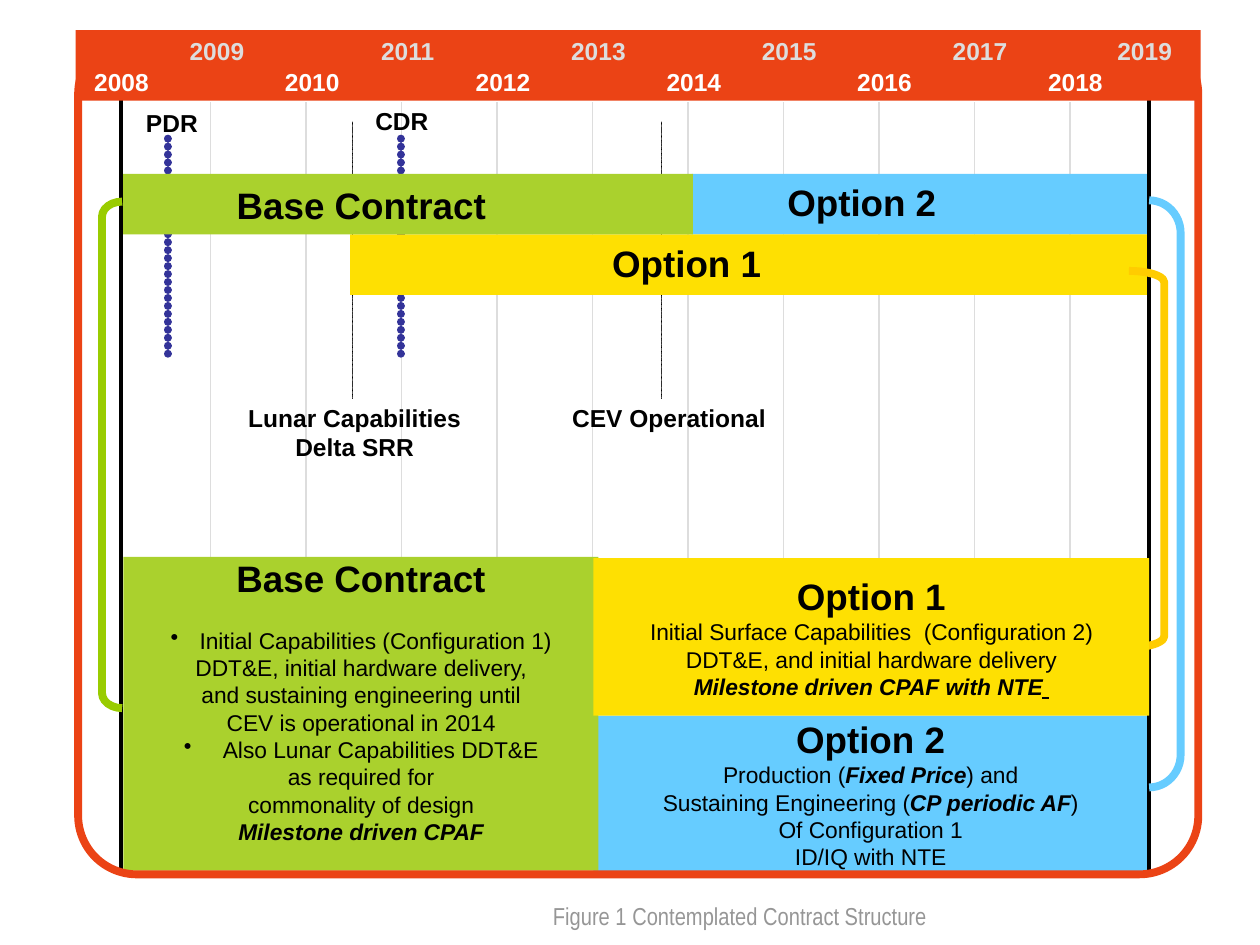
from dataclasses import dataclass

from lxml.etree import SubElement
from pptx import Presentation
from pptx.dml.color import RGBColor
from pptx.enum.shapes import MSO_CONNECTOR, MSO_SHAPE
from pptx.enum.text import MSO_ANCHOR, PP_ALIGN
from pptx.oxml.ns import qn
from pptx.util import Inches, Pt

COLORS = {
    "red": "EB4315", "green": "AAD12D", "yellow": "FEE002", "blue": "66CCFF",
    "green_link": "99CC00", "yellow_link": "FFCC00", "review": "333399",
    "grid": "DDDDDD", "caption": "969696", "black": "000000", "white": "FFFFFF",
}
HEADING = 21
DETAIL = 13
LABEL = 14


@dataclass
class Run:
    text: str
    bold: bool = False
    italic: bool = False
    underline: bool = False


@dataclass
class Line:
    runs: list[Run]
    size: float = DETAIL
    bullet_indent: float = 0
    space_before: float = 0


@dataclass
class Block:
    left: float
    top: float
    width: float
    height: float
    color: str
    lines: list[Line]
    bottom_inset: float = 0.05


@dataclass
class Label:
    text: str
    left: float
    top: float
    width: float
    height: float = 0.34
    size: float = LABEL
    align: PP_ALIGN = PP_ALIGN.LEFT


@dataclass
class Bracket:
    preset: MSO_SHAPE
    left: float
    top: float
    width: float
    height: float
    corner: float
    color: str


def rgb(name: str) -> RGBColor:
    return RGBColor.from_string(COLORS[name])


def plain(text: str, **options) -> Line:
    return Line([Run(text)], **options)


def heading(text: str) -> Line:
    return Line([Run(text, bold=True)], size=HEADING)


def strong(text: str) -> Run:
    return Run(text, bold=True, italic=True)


def write(frame, lines: list[Line], *, color="black", font="Arial", align=PP_ALIGN.CENTER,
          anchor=MSO_ANCHOR.TOP, wrap=False, shadow=False) -> None:
    frame.word_wrap = wrap
    frame.vertical_anchor = anchor
    for index, line in enumerate(lines):
        paragraph = frame.paragraphs[0] if index == 0 else frame.add_paragraph()
        paragraph.alignment = align
        if line.space_before:
            paragraph.space_before = Pt(line.space_before)
        if line.bullet_indent:
            add_bullet(paragraph, line.bullet_indent)
        for part in line.runs:
            run = paragraph.add_run()
            run.text = part.text
            run.font.size = Pt(line.size)
            run.font.bold = part.bold
            run.font.italic = part.italic
            if part.underline:
                run.font.underline = True
            run.font.color.rgb = rgb(color)
            if shadow:
                add_text_shadow(run)
            run.font.name = font


def add_bullet(paragraph, indent: float) -> None:
    properties = paragraph._p.get_or_add_pPr()
    properties.set("marL", str(Inches(indent)))
    properties.set("indent", str(-Inches(indent)))
    SubElement(properties, qn("a:buChar"), char="•")


def add_text_shadow(run) -> None:
    effects = SubElement(run.font._element, qn("a:effectLst"))
    shadow = SubElement(effects, qn("a:outerShdw"), dist="25400", dir="2700000")
    SubElement(shadow, qn("a:srgbClr"), val=COLORS["black"])


def add_text(slide, label: Label, **options) -> None:
    box = slide.shapes.add_textbox(*map(Inches, (label.left, label.top, label.width, label.height)))
    bold = options.pop("bold", True)
    write(box.text_frame, [Line([Run(label.text, bold=bold)], size=label.size)],
          align=label.align, **options)


def add_figure(slide, preset, left, top, width, height, fill=None, line=None):
    shape = slide.shapes.add_shape(preset, *map(Inches, (left, top, width, height)))
    shape.shadow.inherit = False
    if fill:
        shape.fill.solid()
        shape.fill.fore_color.rgb = rgb(fill)
    else:
        shape.fill.background()
    if line:
        shape.line.color.rgb = rgb(line)
        shape.line.width = Pt(4.5)
    else:
        shape.line.fill.background()
    return shape


def add_block(slide, block: Block) -> None:
    shape = add_figure(slide, MSO_SHAPE.RECTANGLE, block.left, block.top,
                       block.width, block.height, fill=block.color)
    shape.text_frame.margin_bottom = Inches(block.bottom_inset)
    write(shape.text_frame, block.lines, anchor=MSO_ANCHOR.MIDDLE)


def add_vertical(slide, x: float, top: float, bottom: float, color: str, width: float,
                 dotted=False) -> None:
    line = slide.shapes.add_connector(MSO_CONNECTOR.STRAIGHT, *map(Inches, (x, top, x, bottom)))
    line.line.color.rgb = rgb(color)
    line.line.width = Pt(width)
    if dotted:
        outline = line.line._get_or_add_ln()
        outline.set("cap", "rnd")
        dashes = SubElement(outline, qn("a:custDash"))
        SubElement(dashes, qn("a:ds"), d="1000", sp="100000")
    SubElement(line._element.spPr, qn("a:effectLst"))


BARS = [
    (5.49, 1.38, 3.62, 0.48, "blue"),
    (2.78, 1.86, 6.33, 0.48, "yellow"),
    (0.95, 1.38, 4.55, 0.48, "green"),
]
LABELS = [
    Label("CEV Operational", 4.44, 3.15, 1.74, align=PP_ALIGN.CENTER),
    Label("CDR", 2.88, 0.79, 0.62),
    Label("PDR", 1.06, 0.81, 0.61),
    Label("Option 2", 6.15, 1.38, 1.38, 0.45, HEADING),
    Label("Option 1", 4.76, 1.86, 1.38, 0.45, HEADING),
    Label("Base Contract", 1.78, 1.4, 2.18, 0.45, HEADING),
]
BRACKETS = [
    Bracket(MSO_SHAPE.LEFT_BRACKET, 0.81, 1.6, 0.16, 4.02, 0.12, "green_link"),
    Bracket(MSO_SHAPE.RIGHT_BRACKET, 9.12, 1.59, 0.25, 4.66, 0.26, "blue_link"[:4]),
    Bracket(MSO_SHAPE.RIGHT_BRACKET, 8.96, 2.15, 0.28, 2.99, 0.09, "yellow_link"),
]
OPTION_2 = Block(4.71, 5.68, 4.4, 1.24, "blue", [
    heading("Option 2"),
    Line([Run("Production ("), strong("Fixed Price"), Run(") and")]),
    Line([Run("Sustaining Engineering ("), strong("CP periodic AF"), Run(")")]),
    plain("Of Configuration 1"),
    plain("ID/IQ with NTE"),
])
BASE = Block(0.98, 4.42, 3.77, 2.49, "green", [
    heading("Base Contract"),
    plain("Initial Capabilities (Configuration 1)", bullet_indent=0.23, space_before=15),
    plain("DDT&E, initial hardware delivery,"),
    plain("and sustaining engineering until"),
    plain("CEV is operational in 2014"),
    plain("Also Lunar Capabilities DDT&E", bullet_indent=0.31),
    plain("as required for"),
    plain("commonality of design"),
    Line([strong("Milestone driven CPAF")]),
], bottom_inset=0.26)
OPTION_1 = Block(4.71, 4.43, 4.41, 1.25, "yellow", [
    heading("Option 1"),
    plain("Initial Surface Capabilities  (Configuration 2)"),
    plain("DDT&E, and initial hardware delivery"),
    Line([strong("Milestone driven CPAF with NTE"), Run(" ", underline=True)]),
])


def main() -> None:
    deck = Presentation()
    deck.slide_width, deck.slide_height = Inches(10), Inches(7.5)
    slide = deck.slides.add_slide(deck.slide_layouts[6])

    for column in range(10):
        add_vertical(slide, 1.67 + 0.758 * column, 0.81, 4.43, "grid", 0.75)
    for x in (3.18, 1.33):
        add_vertical(slide, x, 1.1, 2.81, "review", 4.5, dotted=True)
    for x in (5.25, 2.8):
        add_vertical(slide, x, 0.97, 3.17, "black", 0.75, dotted=True)

    add_block(slide, OPTION_2)
    for *bounds, color in BARS:
        add_figure(slide, MSO_SHAPE.RECTANGLE, *bounds, fill=color)
    for label in LABELS:
        add_text(slide, label)
    delta_review = slide.shapes.add_textbox(*map(Inches, (1.87, 3.15, 1.89, 0.57)))
    write(delta_review.text_frame, [Line([Run(text, bold=True)], size=LABEL)
                                    for text in ("Lunar Capabilities", "Delta SRR")])
    add_text(slide, Label("Figure 1 Contemplated Contract Structure", 4.29, 7.1, 3.17),
             bold=False, color="caption", font="Arial Narrow")

    for x in (0.96, 9.12):
        add_vertical(slide, x, 0.77, 6.92, "black", 2.25)
    for link in BRACKETS:
        bracket = add_figure(slide, link.preset, link.left, link.top, link.width, link.height,
                             line=link.color)
        bracket.adjustments[0] = link.corner / link.width
    add_block(slide, BASE)

    frame = add_figure(slide, MSO_SHAPE.ROUNDED_RECTANGLE, 0.62, 0.28, 8.89, 6.66, line="red")
    frame.adjustments[0] = 0.07
    add_figure(slide, MSO_SHAPE.RECTANGLE, 0.6, 0.24, 8.93, 0.56, fill="red")
    for index, year in enumerate(range(2008, 2020)):
        left = min(0.55 + 0.757 * index, 8.67)
        top, color = (0.24, "grid") if year % 2 else (0.48, "white")
        add_text(slide, Label(str(year), left, top, 0.83, 0.33, align=PP_ALIGN.CENTER),
                 color=color, anchor=MSO_ANCHOR.MIDDLE, wrap=True, shadow=True)
    add_block(slide, OPTION_1)

    deck.save("out.pptx")


if __name__ == "__main__":
    main()
